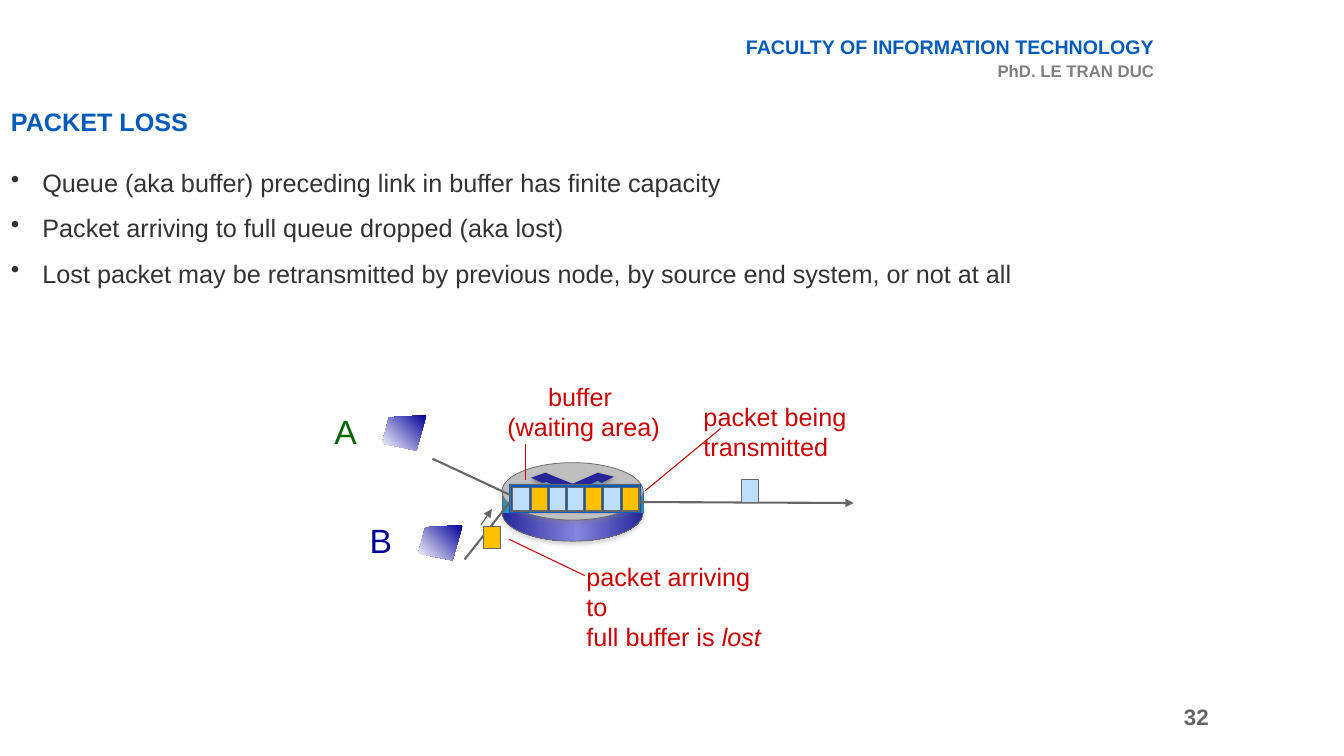
from lxml import etree
from pptx import Presentation
from pptx.dml.color import RGBColor
from pptx.enum.shapes import MSO_CONNECTOR as Connector, MSO_SHAPE as Preset
from pptx.enum.text import MSO_ANCHOR as Anchor, MSO_AUTO_SIZE as AutoSize, PP_ALIGN as Align
from pptx.oxml import parse_xml
from pptx.oxml.ns import nsdecls, qn
from pptx.util import Pt

COLORS = {
    "blue": "005BBB", "grey": "808080", "line": "666666", "text": "333333",
    "red": "CC0000", "green": "006600", "navy": "000099", "white": "FFFFFF",
    "light": "BEDEFF", "gold": "FFC000", "top": "BFBFBF", "arrow": "8DD3F0",
    "indigo": "262699", "violet": "8585E0", "teal": "1A92C4", "black": "000000",
}


class SlideBuilder:
    font_name = "Arial"

    def __init__(self, slide):
        self.slide = slide
        self.shapes = slide.shapes

    def color(self, name):
        return RGBColor.from_string(COLORS[name])

    def text(self, box, paragraphs, size=18, color="red", bold=False, wrap=False,
             bullet=False, anchor=Anchor.TOP, **formats):
        """Each paragraph is a list of (text, font overrides) runs."""
        frame = self.shapes.add_textbox(*map(Pt, box)).text_frame
        frame.word_wrap = wrap
        frame.auto_size = AutoSize.NONE if wrap else AutoSize.SHAPE_TO_FIT_TEXT
        frame.vertical_anchor = anchor
        for index, runs in enumerate(paragraphs):
            paragraph = frame.paragraphs[0] if index == 0 else frame.add_paragraph()
            if bullet:
                properties = paragraph._p.get_or_add_pPr()
                properties.set("marL", str(Pt(22.5)))
                properties.set("indent", str(Pt(-22.5)))
                etree.SubElement(properties, qn("a:buChar")).set("char", "•")
            for name, value in formats.items():
                setattr(paragraph, name, value)
            if index == 0:
                paragraph.space_before = Pt(0)
            for words, changes in runs:
                run = paragraph.add_run()
                run.text = words
                style = {"name": self.font_name, "size": size, "bold": bold,
                         "color": color, **changes}
                run.font.color.rgb = self.color(style.pop("color"))
                style["size"] = Pt(style["size"])
                for name, value in style.items():
                    setattr(run.font, name, value)

    def shadow(self, effects, color):
        effects.append(parse_xml(
            f'<a:outerShdw {nsdecls("a")} blurRad="{Pt(3.1)}" dist="{Pt(1.8)}" '
            f'dir="5400000" rotWithShape="0"><a:srgbClr val="{COLORS[color]}">'
            '<a:alpha val="35000"/></a:srgbClr></a:outerShdw>'))

    def gradient(self, shape, stops, angle):
        shape.fill.gradient()
        properties = shape._element.spPr
        marks = "".join(
            f'<a:gs pos="{position * 1000}"><a:srgbClr val="{COLORS[name]}"/></a:gs>'
            for position, name in stops)
        properties.replace(properties.find(qn("a:gradFill")), parse_xml(
            f'<a:gradFill {nsdecls("a")} rotWithShape="1"><a:gsLst>{marks}</a:gsLst>'
            f'<a:lin ang="{angle * 60000}" scaled="0"/></a:gradFill>'))

    def finish(self, shape, fill=None, line=None, width=0.75, shadow=None, angle=0):
        """Fill is a colour name, a list of gradient stops, or None."""
        shape.shadow.inherit = False
        if isinstance(fill, list):
            self.gradient(shape, fill, angle)
        elif fill:
            shape.fill.solid()
            shape.fill.fore_color.rgb = self.color(fill)
        else:
            shape.fill.background()
        if line:
            shape.line.color.rgb = self.color(line)
            shape.line.width = Pt(width)
        else:
            shape.line.fill.background()
        if shadow:
            self.shadow(shape._element.spPr.find(qn("a:effectLst")), shadow)

    def shape(self, preset, box, **style):
        self.finish(self.shapes.add_shape(preset, *map(Pt, box)), **style)

    def packet(self, left, top, fill):
        self.shape(Preset.RECTANGLE, (left, top, 11.6, 16), fill=fill, line="line")

    def outline(self, points, **style):
        start, *others = [(Pt(x), Pt(y)) for x, y in points]
        builder = self.shapes.build_freeform(*start, scale=1.0)
        builder.add_line_segments(others, close=True)
        self.finish(builder.convert_to_shape(), **style)

    def line(self, start, end, color="line", width=0.75, arrow=False, shadow=None):
        connector = self.shapes.add_connector(
            Connector.STRAIGHT, *map(Pt, (*start, *end)))
        connector.line.color.rgb = self.color(color)
        connector.line.width = Pt(width)
        if arrow:
            etree.SubElement(connector.line._get_or_add_ln(),
                             qn("a:tailEnd")).set("type", "triangle")
        effects = etree.SubElement(connector._element.spPr, qn("a:effectLst"))
        if shadow:
            self.shadow(effects, shadow)


def draw_text(builder):
    builder.text((546.5, 497.5, 324, 28.8), [[("32", {})]], size=16, color="line",
                 bold=True, wrap=True, anchor=Anchor.MIDDLE, alignment=Align.RIGHT)
    builder.text((506.2, 21.2, 325.4, 41),
                 [[("FACULTY OF INFORMATION TECHNOLOGY", {})],
                  [("PhD. LE TRAN DUC", {"size": 12, "color": "grey"})]],
                 size=14, color="blue", bold=True, wrap=True, alignment=Align.RIGHT,
                 space_before=Pt(1), space_after=Pt(1))
    builder.text((0.7, 74.9, 547.2, 29.5), [[("PACKET LOSS", {})]],
                 color="blue", bold=True, wrap=True, line_spacing=0.9)
    points = (
        "Queue (aka buffer) preceding link in buffer has finite capacity",
        "Packet arriving to full queue dropped (aka lost)",
        "Lost packet may be retransmitted by previous node, by source end system, or not at all",
    )
    builder.text((0.7, 105.1, 766.8, 105.1), [[(point, {})] for point in points],
                 color="text", wrap=True, bullet=True, line_spacing=1.5)


def draw_router(builder):
    left, right, width = 358.6, 459.4, 100.8
    rim = {"line": "line", "width": 0.5, "shadow": "grey"}
    builder.shape(Preset.OVAL, (left, 345.6, width, 41),
                  fill=[(0, "indigo"), (53, "violet"), (100, "indigo")], **rim)
    builder.shape(Preset.RECTANGLE, (left, 351.4, width, 15.1),
                  fill=[(0, "teal"), (53, "arrow"), (100, "teal")], angle=180)
    builder.shape(Preset.OVAL, (left, 330.5, width, 41), fill="top", **rim)
    # Crossed arrows on the router's top
    builder.outline([(409, 354.2), (389.5, 363.6), (384.5, 362.2), (399.6, 355.7),
                     (398.9, 349.9), (387.4, 344.9), (391.7, 343.4), (409, 350.6),
                     (426.2, 342.7), (431.3, 344.2), (418.3, 349.2), (421.2, 357.1),
                     (433.4, 362.2), (429.1, 363.6)], fill="arrow")
    dark_arrows = (
        [(379.4, 341.3), (389.5, 337.7), (409, 345.6), (427, 337.7), (438.5, 340.6),
         (429.8, 344.9), (427, 343.4), (409, 352.1), (390.2, 344.2), (387.4, 344.9)],
        [(418.3, 349.9), (439.9, 359.3), (432, 362.2), (418.3, 356.4)],
        [(399.6, 349.9), (399.6, 356.4), (385.9, 362.9), (378, 360)],
    )
    for points in dark_arrows:
        builder.outline(points, fill="indigo", shadow="black")
    for side in (left, right):
        builder.line((side, 366.5), (side, 350.6), width=0.5, shadow="grey")


def draw_network(builder):
    # Buffer, links and packets
    builder.shape(Preset.RECTANGLE, (363.6, 345.6, 94.3, 20.9), fill="blue")
    builder.line((308.9, 327.6), (364.3, 353.5), width=1.5)
    builder.line((331.9, 399.6), (364.3, 358.6), width=1.5)
    builder.line((457.2, 358.6), (609.8, 359.3), width=1.5, arrow=True)
    builder.packet(529.9, 342.7, "light")
    builder.packet(345.6, 375.8, "gold")
    builder.line((343.4, 375.1), (351.4, 363.6), arrow=True)
    queue = ("light", "gold", "light", "light", "gold", "light", "gold")
    for index, fill in enumerate(queue):
        builder.packet(366.4 + 13 * index, 348.5, fill)
    builder.shape(Preset.RECTANGLE, (364.3, 346.3, 92.2, 19.4), line="line")
    # Hosts
    screen = [(304.6, 296.6), (277.9, 298.1), (272.9, 316.8), (297.4, 321.8)]
    for across, down in ((0, 0), (25.9, 78.5)):
        builder.outline([(x + across, y + down) for x, y in screen],
                        fill=[(0, "navy"), (100, "white")], angle=135)
    builder.text((231.8, 290.2, 30.2, 36), [[("A", {})]], size=24, color="green")
    builder.text((257, 367.9, 30.2, 36), [[("B", {})]], size=24, color="navy")


def draw_callouts(builder):
    builder.text((495.4, 283, 210.2, 28.8), [[("packet being transmitted", {})]])
    builder.text((411.8, 397.4, 151.2, 50.4),
                 [[("packet arriving to", {})],
                  [("full buffer is ", {}), ("lost", {"italic": True})]])
    builder.text((355, 268.6, 123.8, 50.4),
                 [[("buffer ", {})], [("(waiting area)", {})]], alignment=Align.CENTER)
    leaders = (((514.8, 306), (460.8, 350.6)), ((417.6, 411.1), (363.6, 385.2)),
               ((375.1, 316.8), (375.1, 342.7)))
    for start, end in leaders:
        builder.line(start, end, color="red")


def main():
    presentation = Presentation()
    presentation.slide_width, presentation.slide_height = Pt(960), Pt(540)
    builder = SlideBuilder(presentation.slides.add_slide(presentation.slide_layouts[6]))
    draw_text(builder)
    draw_router(builder)
    draw_network(builder)
    draw_callouts(builder)
    presentation.save("out.pptx")


if __name__ == "__main__":
    main()
